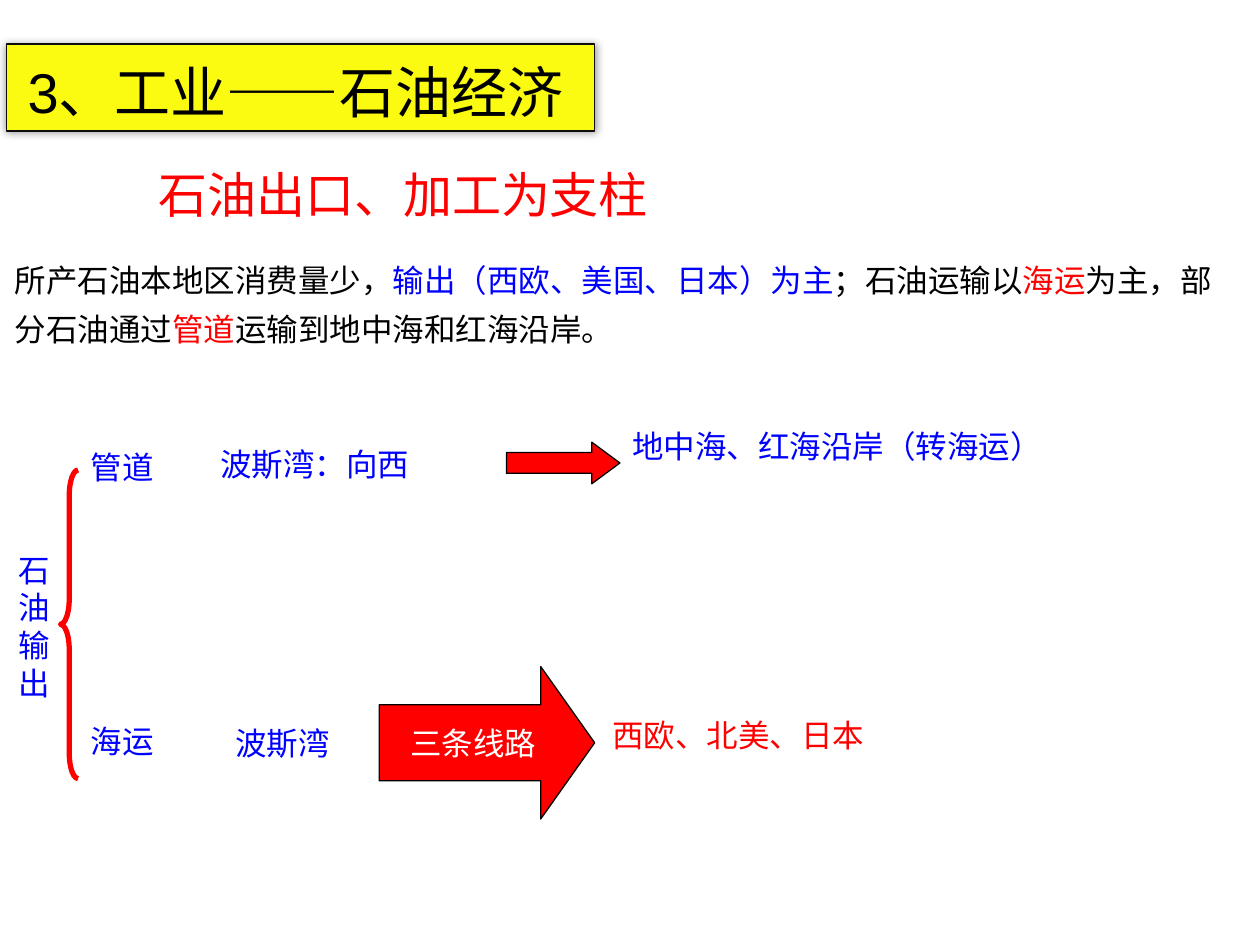
import dataclasses

import lxml.etree
import pptx
import pptx.dml.color
import pptx.enum.shapes
import pptx.enum.text
import pptx.oxml.ns
import pptx.util

Inches = pptx.util.Inches
Shapes = pptx.enum.shapes.MSO_SHAPE
COLORS = {"red": "FF0000", "blue": "0000FF", "black": "000000",
          "white": "FFFFFF", "yellow": "FBFB11", "border": "0D0D0D"}
CHINESE_FONT = "Noto Sans CJK SC"


@dataclasses.dataclass
class Label:
    """A text box, its place in inches and its coloured runs."""
    box: tuple[float, float, float, float]
    runs: list[tuple[str, str]]
    size: int = 18
    spacing: float = 1.0


@dataclasses.dataclass
class Figure:
    """A preset shape with its place, adjustments and colours."""
    preset: Shapes
    box: tuple[float, float, float, float]
    adjustments: tuple[float, ...] = ()
    fill: str | None = "red"
    line: str = "black"
    line_width: float = 0.75


LABELS = [
    Label((1.16, 1.12, 5.59, 0.65), [("石油出口、加工为支柱", "red")], 28, 1.3),
    Label((0.02, 1.93, 9.89, 1.1), [
        ("所产石油本地区消费量少，", "black"),
        ("输出（西欧、美国、日本）为主", "blue"),
        ("；石油运输以", "black"),
        ("海运", "red"),
        ("为主，部分石油通过", "black"),
        ("管道", "red"),
        ("运输到地中海和红海沿岸。", "black"),
    ], spacing=1.3),
    Label((4.76, 5.63, 3.52, 0.5), [("西欧、北美、日本", "red")]),
    Label((0.05, 4.32, 0.58, 1.72), [("石油输出", "blue")]),
    Label((1.65, 3.48, 2.37, 0.5), [("波斯湾：向西", "blue")]),
    Label((0.62, 3.51, 1.08, 0.5), [("管道", "blue")]),
    Label((4.92, 3.34, 4.58, 0.5), [("地中海、红海沿岸（转海运）", "blue")]),
    Label((0.62, 5.68, 1.08, 0.5), [("海运", "blue")]),
    Label((1.77, 5.7, 1.9, 0.5), [("波斯湾", "blue")]),
]
PIPELINE_ARROW = Figure(Shapes.RIGHT_ARROW, (4.02, 3.51, 0.9, 0.33), (0.5, 0.675))
SEA_ARROW = Figure(Shapes.RIGHT_ARROW, (3.01, 5.29, 1.71, 1.21), (0.5, 0.354))
BRACE = Figure(Shapes.LEFT_BRACE, (0.48, 3.73, 0.14, 2.45), (1.45, 0.5), None, "red", 3)
TITLE = Figure(Shapes.RECTANGLE, (0.05, 0.35, 4.67, 0.69), (), "yellow", "border")


def color(name: str) -> pptx.dml.color.RGBColor:
    """Look up a named colour."""
    return pptx.dml.color.RGBColor.from_string(COLORS[name])


def write_text(shape, runs: list[tuple[str, str]], *, size: int = 18,
               spacing: float = 1.0, font: str = CHINESE_FONT, wrap: bool = True,
               align=pptx.enum.text.PP_ALIGN.LEFT,
               anchor=pptx.enum.text.MSO_ANCHOR.TOP, left_inset: float = 0.1) -> None:
    """Fill a shape with one paragraph of coloured runs."""
    frame = shape.text_frame
    frame.word_wrap = wrap
    frame.vertical_anchor = anchor
    frame.margin_left = Inches(left_inset)
    paragraph = frame.paragraphs[0]
    paragraph.alignment = align
    paragraph.line_spacing = spacing
    for text, name in runs:
        run = paragraph.add_run()
        run.text = text
        run.font.size = pptx.util.Pt(size)
        run.font.name = font
        run.font.color.rgb = color(name)
        if font == CHINESE_FONT:
            properties = run.font._element
            lxml.etree.SubElement(properties, pptx.oxml.ns.qn("a:ea"), typeface=font)


def add_label(slide, label: Label) -> None:
    """Add a text box."""
    shape = slide.shapes.add_textbox(*map(Inches, label.box))
    write_text(shape, label.runs, size=label.size, spacing=label.spacing)


def add_figure(slide, figure: Figure):
    """Add a preset shape and return it."""
    shape = slide.shapes.add_shape(figure.preset, *map(Inches, figure.box))
    shape.shadow.inherit = False
    for index, value in enumerate(figure.adjustments):
        shape.adjustments[index] = value
    if figure.fill:
        shape.fill.solid()
        shape.fill.fore_color.rgb = color(figure.fill)
    else:
        shape.fill.background()
    shape.line.color.rgb = color(figure.line)
    shape.line.width = pptx.util.Pt(figure.line_width)
    return shape


def add_glow_shadow(shape, blur: float, opacity: int) -> None:
    """Give a shape a centred soft black shadow."""
    qn = pptx.oxml.ns.qn
    effects = shape._element.spPr.find(qn("a:effectLst"))
    shadow = lxml.etree.SubElement(effects, qn("a:outerShdw"), dist="0", dir="0",
                                   blurRad=str(pptx.util.Pt(blur)), rotWithShape="0")
    shade = lxml.etree.SubElement(shadow, qn("a:srgbClr"), val=COLORS["black"])
    lxml.etree.SubElement(shade, qn("a:alpha"), val=str(opacity * 1000))


def main() -> None:
    """Build the slide and save it."""
    presentation = pptx.Presentation()
    presentation.slide_width, presentation.slide_height = Inches(10), Inches(7.5)
    slide = presentation.slides.add_slide(presentation.slide_layouts[6])
    for label in LABELS:
        add_label(slide, label)
    add_figure(slide, PIPELINE_ARROW)
    sea_arrow = add_figure(slide, SEA_ARROW)
    write_text(sea_arrow, [("三条线路", "white")], wrap=False,
               align=pptx.enum.text.PP_ALIGN.CENTER,
               anchor=pptx.enum.text.MSO_ANCHOR.MIDDLE)
    add_figure(slide, BRACE)
    title = add_figure(slide, TITLE)
    add_glow_shadow(title, blur=5, opacity=40)
    write_text(title, [("3、工业——石油经济", "black")], size=32, spacing=1.1,
               font="Arial", left_inset=0.17)
    presentation.save("out.pptx")


if __name__ == "__main__":
    main()
